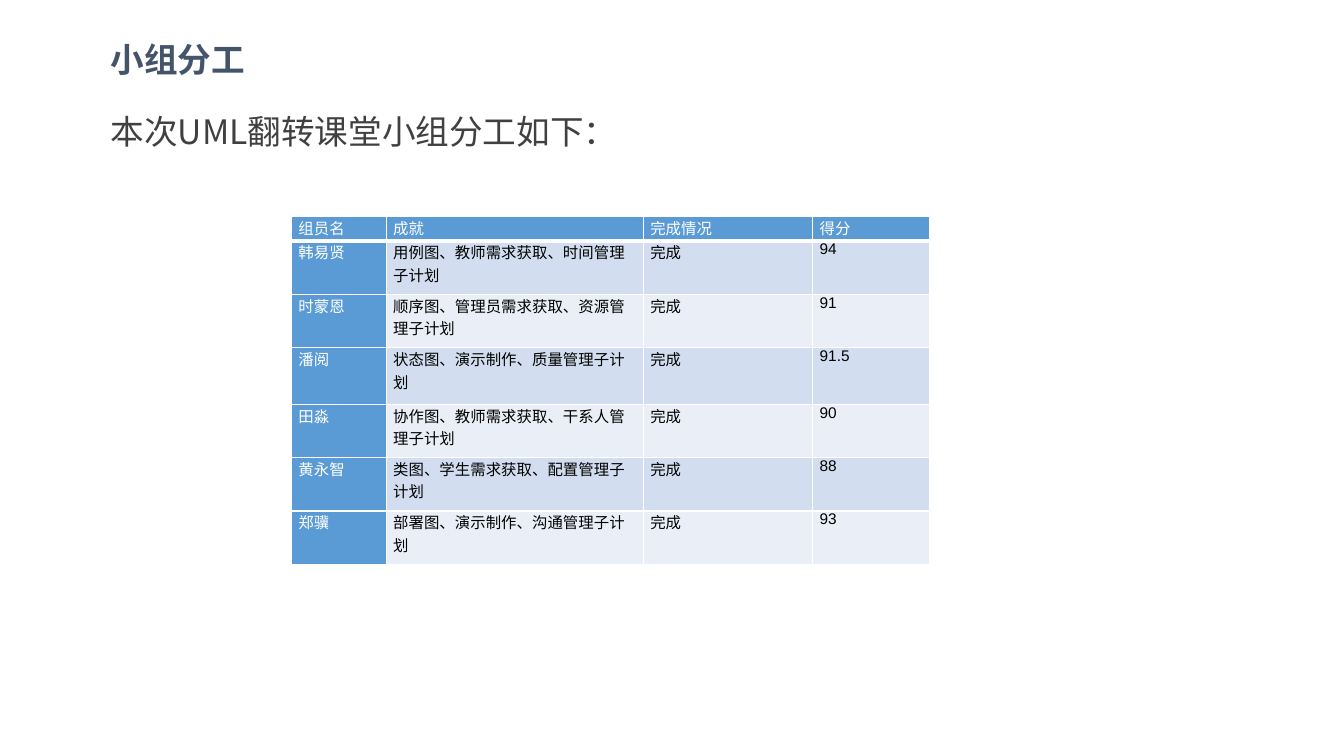
from lxml import etree
from pptx import Presentation
from pptx.dml.color import RGBColor
from pptx.enum.text import MSO_ANCHOR, MSO_AUTO_SIZE, PP_ALIGN
from pptx.oxml.ns import qn
from pptx.util import Pt

# Content
TITLE = "小组分工"
INTRO = "本次UML翻转课堂小组分工如下："
ROWS = [
    ("组员名", "成就", "完成情况", "得分"),
    ("韩易贤", "用例图、教师需求获取、时间管理子计划", "完成", "94"),
    ("时蒙恩", "顺序图、管理员需求获取、资源管理子计划", "完成", "91"),
    ("潘阅", "状态图、演示制作、质量管理子计划", "完成", "91.5"),
    ("田淼", "协作图、教师需求获取、干系人管理子计划", "完成", "90"),
    ("黄永智", "类图、学生需求获取、配置管理子计划", "完成", "88"),
    ("郑骥", "部署图、演示制作、沟通管理子计划", "完成", "93"),
]

# Lengths in px, 100 to the inch
PX = 9144
SLIDE = (1333, 750)
TITLE_BOX = (100, 31, 153, 55)
INTRO_BOX = (100, 85, 556, 71)
TABLE_POS = (289, 215)
COLS = (94, 255, 168, 116)
HEIGHTS = (24, 53, 53, 56, 53, 53, 53)

# Look
NAVY = RGBColor(0x44, 0x54, 0x6A)
GREY = RGBColor(0x40, 0x40, 0x40)
BLUE = RGBColor(0x5B, 0x9B, 0xD5)
BANDS = (RGBColor(0xEA, 0xEF, 0xF7), RGBColor(0xD2, 0xDE, 0xEF))
WHITE = RGBColor(255, 255, 255)
BLACK = RGBColor(0, 0, 0)
CJK = "Noto Sans CJK SC"
MIDDLE = MSO_ANCHOR.MIDDLE
CENTER = PP_ALIGN.CENTER
GROW = MSO_AUTO_SIZE.SHAPE_TO_FIT_TEXT
NO_FIT = MSO_AUTO_SIZE.NONE


def emu(nums):
    return [n * PX for n in nums]


def put(obj, **vals):
    for key, val in vals.items():
        setattr(obj, key, val)


def write(frame, text, color, **font):
    para = frame.paragraphs[0]
    run = para.add_run()
    run.text = text
    put(run.font, **font)
    run.font.color.rgb = color
    ea = etree.SubElement(run.font._element, qn("a:ea"))
    ea.set("typeface", CJK)
    return para


def edge(cell, side, width):
    line = etree.SubElement(cell._tc.get_or_add_tcPr(), qn("a:ln" + side))
    line.set("w", str(Pt(width)))
    fill = etree.SubElement(line, qn("a:solidFill"))
    etree.SubElement(fill, qn("a:srgbClr")).set("val", str(WHITE))


deck = Presentation()
deck.slide_width, deck.slide_height = emu(SLIDE)
slide = deck.slides.add_slide(deck.slide_layouts[5])

# Title
title = slide.shapes.title
left, top, width, height = emu(TITLE_BOX)
put(title, left=left, top=top, width=width, height=height)
put(title.text_frame, margin_left=0, margin_right=0, margin_top=5 * PX,
    margin_bottom=5 * PX, vertical_anchor=MIDDLE, auto_size=NO_FIT)
para = write(title.text_frame, TITLE, NAVY, size=Pt(24), name=CJK, bold=True)
para.alignment = CENTER

# Intro line
intro = slide.shapes.add_textbox(*emu(INTRO_BOX))
put(intro.text_frame, word_wrap=True, auto_size=GROW)
para = write(intro.text_frame, INTRO, GREY, size=Pt(24), name=CJK)
para.line_spacing = 1.5

# Table of members
size = (sum(COLS), sum(HEIGHTS))
table = slide.shapes.add_table(len(ROWS), len(COLS),
                               *emu(TABLE_POS + size)).table
for col, width in zip(table.columns, emu(COLS)):
    col.width = width
for row, height in zip(table.rows, emu(HEIGHTS)):
    row.height = height
for r, row in enumerate(ROWS):
    for c, text in enumerate(row):
        cell = table.cell(r, c)
        head = r == 0 or c == 0
        put(cell, margin_left=7 * PX, margin_right=7 * PX,
            margin_top=0, margin_bottom=0)
        for side in "LRTB":
            thick = (r, side) in ((0, "B"), (1, "T"))
            edge(cell, side, 3 if thick else 1)
        cell.fill.solid()
        cell.fill.fore_color.rgb = BLUE if head else BANDS[r % 2]
        para = write(cell.text_frame, text, WHITE if head else BLACK,
                     size=Pt(11), name="Arial", bold=False)
        para.space_before = Pt(6)

deck.save("out.pptx")
